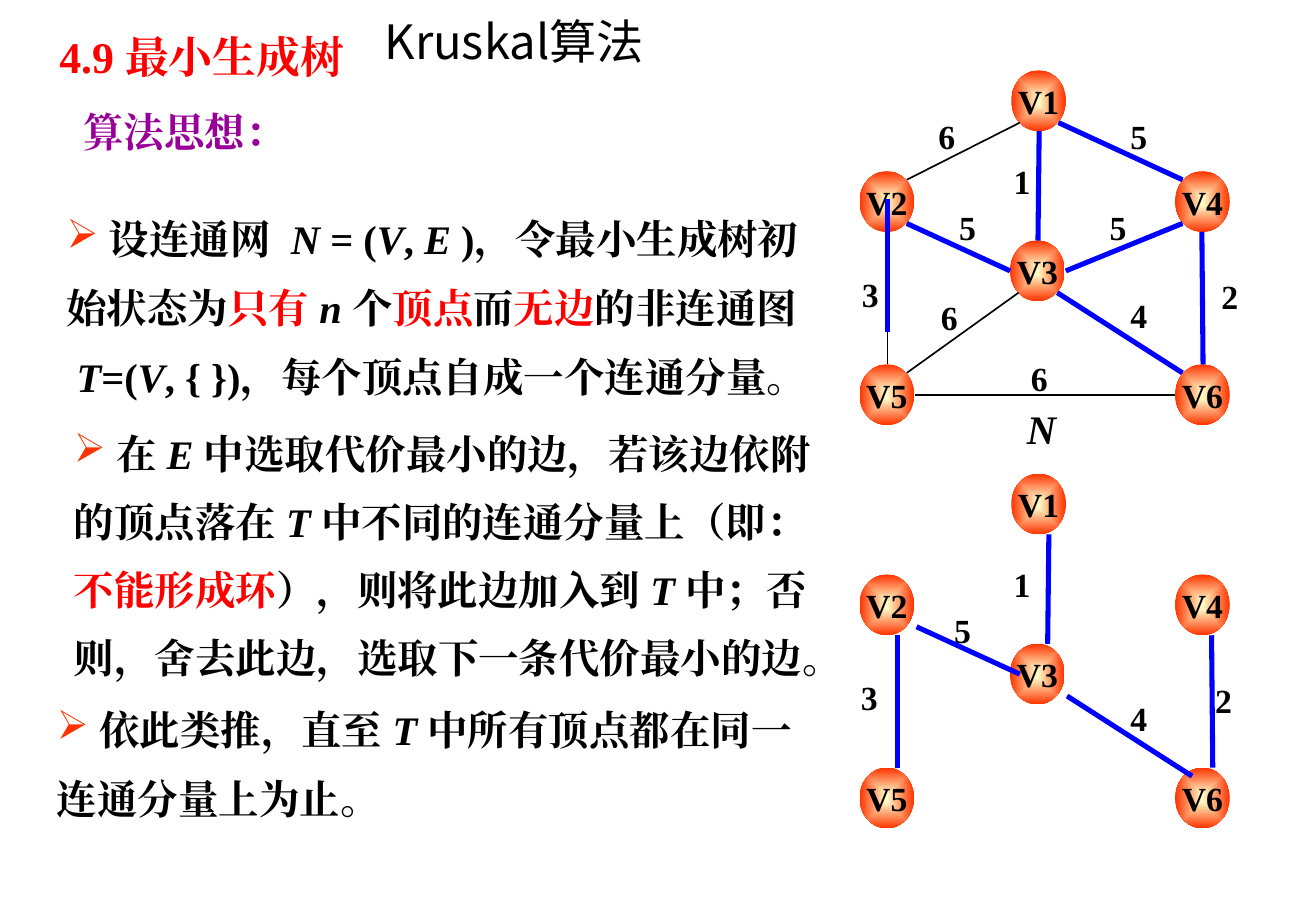
from lxml import etree
from pptx import Presentation
from pptx.dml.color import RGBColor
from pptx.enum.shapes import MSO_CONNECTOR, MSO_SHAPE
from pptx.enum.text import MSO_ANCHOR, PP_ALIGN
from pptx.oxml import parse_xml
from pptx.oxml.ns import nsdecls, qn
from pptx.util import Inches, Pt

LEFT, CENTER = PP_ALIGN.LEFT, PP_ALIGN.CENTER
TOP, MIDDLE = MSO_ANCHOR.TOP, MSO_ANCHOR.MIDDLE
ELLIPSE, STRAIGHT = MSO_SHAPE.OVAL, MSO_CONNECTOR.STRAIGHT

COLORS = {"black": "000000", "red": "FF0000", "purple": "990099", "blue": "0000FF",
          "node center": "FFFFCC", "node rim": "FF3300", "bullet": "FF3300"}
SERIF, SANS = "Times New Roman", "Noto Sans CJK SC"

TREE_DROP = 3.32
TREE_EDGE_SHIFT = 0.08
VERTICES = {"V1": (8.33, 0.58), "V6": (9.68, 3), "V5": (7.08, 3),
            "V4": (9.68, 1.41), "V3": (8.32, 1.98), "V2": (7.08, 1.41)}
# edge: start, end, weight, top left corner of the weight
EDGES = {
    "V1-V2": ((8.4, 1.01), (7.47, 1.48), "6", (7.63, 0.9)),
    "V1-V4": ((8.72, 1.01), (9.74, 1.48), "5", (9.21, 0.9)),
    "V1-V3": ((8.56, 1.08), (8.55, 1.98), "1", (8.25, 1.27)),
    "V2-V3": ((7.47, 1.84), (8.32, 2.23), "5", (7.8, 1.65)),
    "V3-V5": ((8.39, 2.41), (7.47, 3.07), "6", (7.65, 2.39)),
    "V2-V5": ((7.31, 1.91), (7.31, 3), "3", (7, 2.2)),
    "V3-V4": ((8.78, 2.23), (9.74, 1.84), "5", (9.04, 1.65)),
    "V4-V6": ((9.9, 1.91), (9.91, 3), "2", (9.96, 2.22)),
    "V3-V6": ((8.71, 2.41), (9.74, 3.07), "4", (9.21, 2.37)),
    "V5-V6": ((9.68, 3.25), (7.54, 3.25), "6", (8.39, 2.89)),
}
# edge examined: vertical shift of its highlight
EXAMINED = {"V1-V3": 0, "V4-V6": 0, "V2-V5": -0.27, "V3-V6": 0,
            "V1-V4": 0, "V3-V4": 0, "V2-V3": 0}
# edge of the tree: horizontal shift of its weight
TREE = {"V1-V3": 0, "V4-V6": -0.05, "V2-V5": -0.01, "V3-V6": 0, "V2-V3": -0.04}

ITALIC, RED, WIDE = {"italic": True}, {"color": "red"}, {"spacing": 6}
INITIAL_STATE = [
    [" 设连通网", (" ", WIDE), ("N ", ITALIC), "= (", ("V", ITALIC), ", ", ("E ", ITALIC),
     ")，令最小生成树初"],
    ["始状态为", ("只有 ", RED), ("n ", ITALIC), "个", ("顶点", RED), "而", ("无边", RED),
     "的非连通图"],
    [" ", ("T", ITALIC), "=(", ("V", ITALIC), ", { })，每个顶点自成一个连通分量。"],
]
EDGE_CHOICE = [
    [" 在 ", ("E ", ITALIC), "中选取代价最小的边，若该边依附"],
    ["的顶点落在 ", ("T ", ITALIC), "中不同的连通分量上（即："],
    [("不能形成环", RED), "），则将此边加入到 ", ("T ", ITALIC), "中；否"],
    ["则，舍去此边，选取下一条代价最小的边。"],
]
REPETITION = [
    [" 依此类推，直至 ", ("T ", ITALIC), "中所有顶点都在同一"],
    ["连通分量上为止。"],
]


def rgb(name):
    return RGBColor.from_string(COLORS[name])


def add_run(paragraph, text, size=24, font=SERIF, color="black", bold=True, italic=False,
            spacing=0):
    """Append formatted text; spacing is extra points after each character."""
    run = paragraph.add_run()
    run.text = text
    run.font.size, run.font.name = Pt(size), font
    run.font.bold, run.font.italic = bold, italic
    run.font.color.rgb = rgb(color)
    properties = run.font._element
    etree.SubElement(properties, qn("a:ea")).set("typeface", font)
    if spacing:
        properties.set("spc", str(spacing * 100))


def add_bullet(paragraph):
    properties = paragraph._p.get_or_add_pPr()
    properties.set("marL", "0")
    properties.set("indent", "0")
    color = etree.SubElement(properties, qn("a:buClr"))
    etree.SubElement(color, qn("a:srgbClr")).set("val", COLORS["bullet"])
    etree.SubElement(properties, qn("a:buChar")).set("char", "➢")


class KruskalSlide:
    def __init__(self, presentation):
        self.slide = presentation.slides.add_slide(presentation.slide_layouts[5])
        self.shapes = self.slide.shapes

    def fill_frame(self, shape, paragraphs, align=LEFT, anchor=TOP, wrap=False, bullet=False,
                   line_spacing=None, gap=0, **style):
        """Write paragraphs, each a list of strings or (string, format) pairs."""
        frame = shape.text_frame
        frame.word_wrap, frame.vertical_anchor = wrap, anchor
        for index, runs in enumerate(paragraphs):
            paragraph = frame.add_paragraph() if index else frame.paragraphs[0]
            paragraph.alignment = align
            if line_spacing:
                paragraph.line_spacing = line_spacing
            if index:
                paragraph.space_before = Pt(gap)
            elif bullet:
                add_bullet(paragraph)
            for run in runs:
                text, changes = (run, {}) if isinstance(run, str) else run
                add_run(paragraph, text, **{**style, **changes})

    def title(self, text, left, top, width, height):
        shape = self.shapes.title
        shape.left, shape.top = Inches(left), Inches(top)
        shape.width, shape.height = Inches(width), Inches(height)
        self.fill_frame(shape, [[text]], align=CENTER, wrap=True, size=28, font=SANS, bold=False)

    def text(self, paragraphs, left, top, width, height, **style):
        box = self.shapes.add_textbox(Inches(left), Inches(top), Inches(width), Inches(height))
        self.fill_frame(box, paragraphs, **style)

    def vertex(self, name, left, top):
        shape = self.shapes.add_shape(ELLIPSE, Inches(left), Inches(top), Inches(0.45), Inches(0.5))
        shape.shadow.inherit = False
        shape.line.fill.background()
        shape.fill.gradient()
        for stop, color, position in zip(shape.fill.gradient_stops,
                                         ("node center", "node rim"), (0, 1)):
            stop.color.rgb, stop.position = rgb(color), position
        gradient = shape._element.spPr.find(qn("a:gradFill"))
        gradient.replace(gradient.find(qn("a:lin")), parse_xml(
            f'<a:path {nsdecls("a")} path="rect">'
            '<a:fillToRect l="50000" t="50000" r="50000" b="50000"/></a:path>'))
        self.fill_frame(shape, [[name]], align=CENTER, anchor=MIDDLE, size=20)

    def weight(self, value, left, top):
        self.text([[value]], left, top, 0.34, 0.44, align=CENTER, anchor=MIDDLE, size=20)

    def edge(self, start, end, color="black", width=1, dx=0, dy=0):
        ends = [Inches(value) for x, y in (start, end) for value in (x + dx, y + dy)]
        line = self.shapes.add_connector(STRAIGHT, *ends)
        line.line.color.rgb, line.line.width = rgb(color), Pt(width)
        etree.SubElement(line._element.spPr, qn("a:effectLst"))

    def vertices(self, drop=0):
        for name, (left, top) in VERTICES.items():
            self.vertex(name, left, top + drop)

    def network(self):
        self.vertices()
        for start, end, value, corner in EDGES.values():
            self.weight(value, *corner)
            self.edge(start, end)

    def spanning_tree(self):
        self.vertices(TREE_DROP)
        for name, shift in TREE.items():
            start, end, value, (left, top) = EDGES[name]
            self.weight(value, left + shift, top + TREE_DROP)
            self.edge(start, end, "blue", 3, TREE_EDGE_SHIFT, TREE_DROP)

    def examined_edges(self):
        for name, shift in EXAMINED.items():
            start, end = EDGES[name][:2]
            self.edge(start, end, "blue", 3, dy=shift)


def main():
    presentation = Presentation()
    presentation.slide_width, presentation.slide_height = Inches(10.84), Inches(7.5)
    slide = KruskalSlide(presentation)
    slide.title("Kruskal算法", 1.8, 0.05, 4.87, 0.83)
    slide.text([["4.9 最小生成树"]], 0.39, 0.02, 2.64, 0.71, anchor=MIDDLE, line_spacing=1.4,
               size=26, color="red")
    slide.network()
    slide.text([["算法思想："]], 0.59, 0.83, 1.94, 0.5, color="purple")
    slide.text(INITIAL_STATE, 0.45, 1.76, 6.67, 1.6, bullet=True, line_spacing=0.9, gap=15)
    slide.text(EDGE_CHOICE, 0.51, 3.32, 6.8, 2.34, bullet=True, line_spacing=1.4)
    slide.text(REPETITION, 0.37, 5.8, 6.78, 1.03, bullet=True, line_spacing=0.9, gap=15)
    slide.spanning_tree()
    slide.examined_edges()
    slide.text([[("N", ITALIC)]], 8.36, 3.28, 0.52, 0.5)
    presentation.save("out.pptx")


if __name__ == "__main__":
    main()
